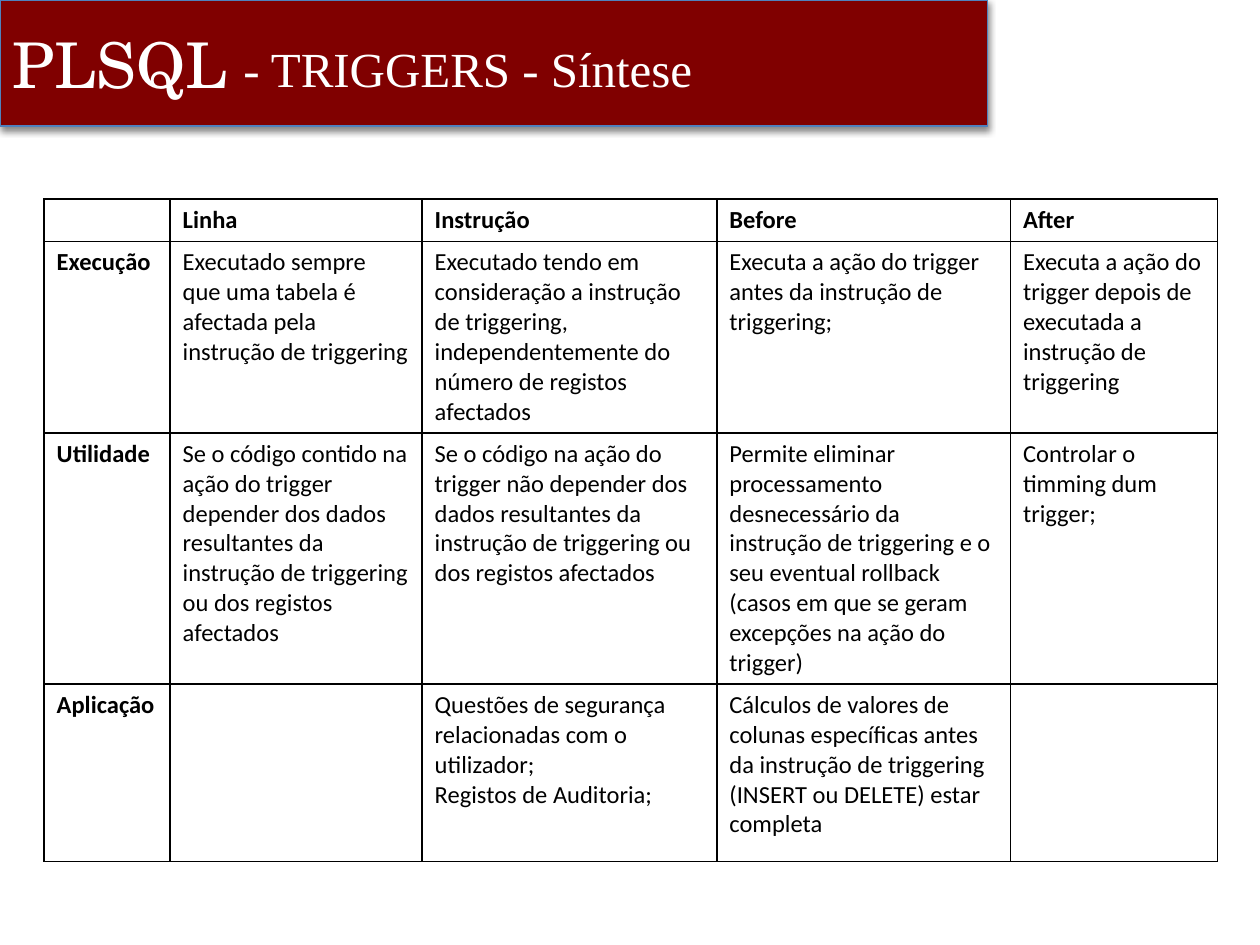
from lxml.etree import SubElement
from pptx import Presentation
from pptx.dml.color import RGBColor as Rgb
from pptx.enum.shapes import MSO_SHAPE as Shape
from pptx.enum.text import MSO_ANCHOR as Anchor, PP_ALIGN as Align
from pptx.oxml.ns import qn
from pptx.util import Cm, Pt

COLORS = {"band": "800000", "outline": "4F81BD", "light": "FFFFFF", "ink": "000000"}
COLUMN_WIDTHS = [2.54, 5.08, 5.94, 5.92, 4.17]
ROW_HEIGHTS = [0.81, 3.68, 5.03, 3.58]
SUMMARY = [
    ["", "Linha", "Instrução", "Before", "After"],
    ["Execução",
     "Executado sempre que uma tabela é afectada pela instrução de triggering",
     "Executado tendo em consideração a instrução de triggering, "
     "independentemente do número de registos afectados",
     "Executa a ação do trigger antes da instrução de triggering;",
     "Executa a ação do trigger depois de executada a instrução de triggering"],
    ["Utilidade",
     "Se o código contido na ação do trigger depender dos dados resultantes "
     "da instrução de triggering ou dos registos afectados",
     "Se o código na ação do trigger não depender dos dados resultantes "
     "da instrução de triggering ou dos registos afectados",
     "Permite eliminar processamento desnecessário da instrução de triggering "
     "e o seu eventual rollback (casos em que se geram excepções na ação do trigger)",
     "Controlar o timming dum trigger;"],
    ["Aplicação", "",
     "Questões de segurança relacionadas com o utilizador;\nRegistos de Auditoria;",
     "Cálculos de valores de colunas específicas antes da instrução de triggering "
     "(INSERT ou DELETE) estar completa", ""],
]


class SlideBuilder:
    """Holds the style and the current slide, and adds its elements."""

    def __init__(self, slide, body_font="Calibri", body_size=14):
        self.slide = slide
        self.body_font = body_font
        self.body_size = body_size

    def color(self, name):
        return Rgb.from_string(COLORS[name])

    def style(self, paragraph, font, size, color, bold=False):
        paragraph.alignment = Align.LEFT
        paragraph.font.name = font
        paragraph.font.size = Pt(size)
        paragraph.font.bold = bold
        paragraph.font.color.rgb = self.color(color)

    def title(self, text, left, top, width, height):
        title = self.slide.shapes.title
        title.left, title.top, title.width, title.height = map(Cm, (left, top, width, height))
        title.text_frame.text = text
        title.text_frame.vertical_anchor = Anchor.TOP
        self.style(title.text_frame.paragraphs[0], "Times New Roman", 28, "light")

    def band(self, text, left, top, width, height):
        band = self.slide.shapes.add_shape(Shape.RECTANGLE, *map(Cm, (left, top, width, height)))
        band.fill.solid()
        band.fill.fore_color.rgb = self.color("band")
        band.line.color.rgb = self.color("outline")
        band.line.width = Pt(0.75)
        band.text_frame.text = text
        band.text_frame.vertical_anchor = Anchor.MIDDLE
        self.style(band.text_frame.paragraphs[0], "TeX Gyre Schola", 36, "light")
        self.drop_shadow(band)
        self.slide.shapes.title.element.addprevious(band.element)

    def drop_shadow(self, shape):
        shape.shadow.inherit = False
        effects = shape.element.spPr.find(qn("a:effectLst"))
        shadow = SubElement(effects, qn("a:outerShdw"), blurRad=str(Pt(4)), dist=str(Pt(2)),
                            dir="5400000", rotWithShape="0")
        tint = SubElement(shadow, qn("a:srgbClr"), val=COLORS["ink"])
        SubElement(tint, qn("a:alpha"), val="45000")

    def table(self, rows, left, top, widths, heights):
        frame = self.slide.shapes.add_table(len(rows), len(widths), Cm(left), Cm(top),
                                            Cm(sum(widths)), Cm(sum(heights)))
        table = frame.table
        table.first_row = table.horz_banding = False
        for column, width in zip(table.columns, widths):
            column.width = Cm(width)
        for row, height in zip(table.rows, heights):
            row.height = Cm(height)
        for r, texts in enumerate(rows):
            for c, text in enumerate(texts):
                self.cell(table.cell(r, c), text, heading=r == 0 or c == 0)

    def cell(self, cell, text, heading):
        cell.text = text
        for number, paragraph in enumerate(cell.text_frame.paragraphs):
            self.style(paragraph, self.body_font, self.body_size, "ink", heading)
            if heading or number:
                self.hang(paragraph)
            if not text:
                SubElement(paragraph._p, qn("a:endParaRPr"), sz=str(self.body_size * 100))
        self.borders(cell)
        cell.fill.background()

    def hang(self, paragraph):
        properties = paragraph._p.get_or_add_pPr()
        properties.set("marL", str(Cm(0.95)))
        properties.set("indent", str(-Cm(0.95)))

    def borders(self, cell):
        properties = cell._tc.get_or_add_tcPr()
        for side in ("lnL", "lnR", "lnT", "lnB"):
            line = SubElement(properties, qn(f"a:{side}"), w=str(Pt(1)))
            SubElement(SubElement(line, qn("a:solidFill")), qn("a:srgbClr"), val=COLORS["ink"])


def main():
    deck = Presentation()
    deck.slide_width, deck.slide_height = Cm(25.4), Cm(19.05)
    builder = SlideBuilder(deck.slides.add_slide(deck.slide_layouts[5]))
    builder.title("- TRIGGERS - Síntese", 4.65, 0.64, 22.86, 2.54)
    builder.band("PLSQL", 0, 0, 19.91, 2.54)
    builder.table(SUMMARY, 0.89, 4.01, COLUMN_WIDTHS, ROW_HEIGHTS)
    deck.save("out.pptx")


if __name__ == "__main__":
    main()
